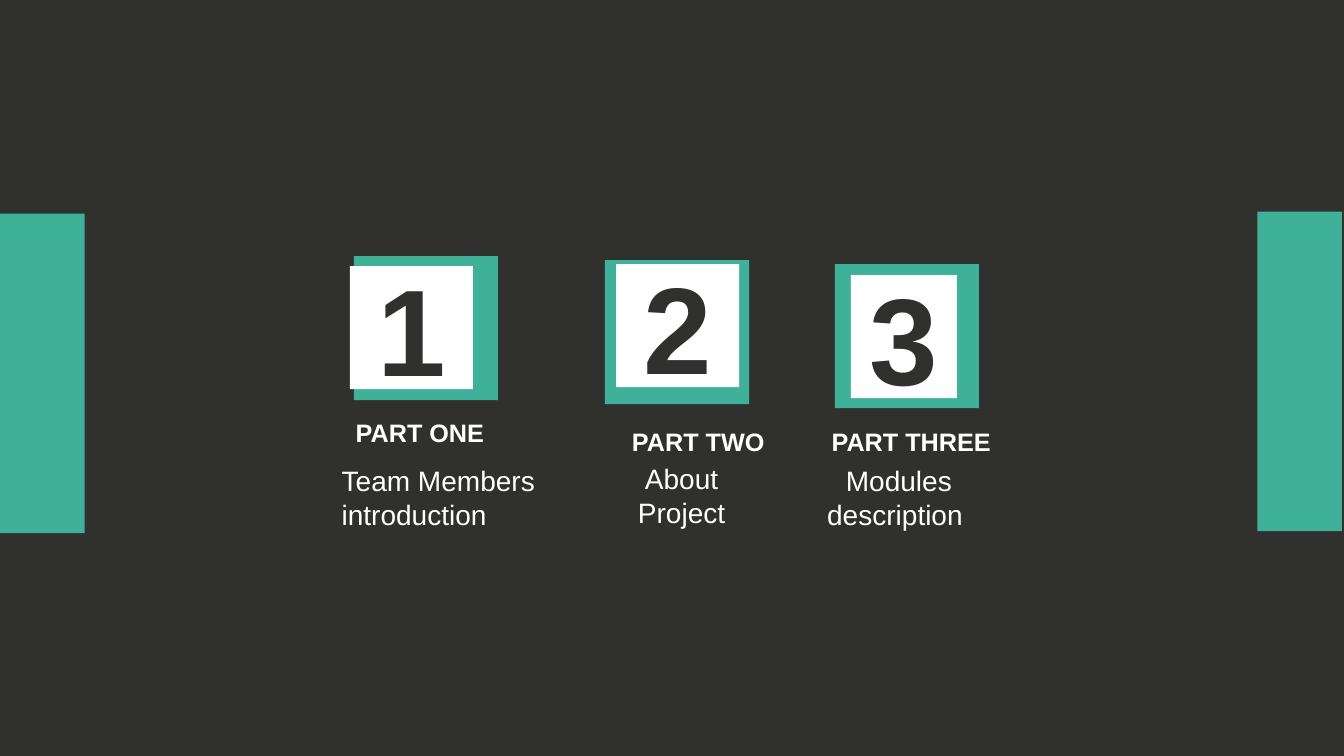
"""Build a dark agenda slide with three numbered parts between two side bars."""
from pptx import Presentation
from pptx.dml.color import RGBColor
from pptx.enum.shapes import MSO_SHAPE as Shape
from pptx.enum.text import MSO_ANCHOR as Anchor, MSO_AUTO_SIZE as AutoSize, PP_ALIGN as Align
from pptx.util import Inches, Pt

COLORS = {"dark": "30302F", "green": "3EB198", "white": "FFFFFF"}
BAR_WIDTH, BAR_HEIGHT = 0.84, 3.17
FRAME_SIZE = 1.43
CARD_HEIGHT = 1.22
LABEL_HEIGHT, CAPTION_HEIGHT = 0.4, 0.77


def add_block(box, color):
    block = slide.shapes.add_shape(Shape.RECTANGLE, *map(Inches, box))
    block.shadow.inherit = False
    block.fill.solid()
    block.fill.fore_color.rgb = RGBColor.from_string(COLORS[color])
    block.line.fill.background()
    return block


def write(shape, text, size, color, bold, frame_format, align):
    for name, value in frame_format.items():
        setattr(shape.text_frame, name, value)
    paragraph = shape.text_frame.paragraphs[0]
    paragraph.alignment = align
    run = paragraph.add_run()
    run.text = text
    for name, value in {"name": "Arial", "size": Pt(size), "bold": bold}.items():
        setattr(run.font, name, value)
    run.font.color.rgb = RGBColor.from_string(COLORS[color])


presentation = Presentation()
presentation.slide_width, presentation.slide_height = Inches(13.33), Inches(7.5)
slide = presentation.slides.add_slide(presentation.slide_layouts[6])
slide.background.fill.solid()
slide.background.fill.fore_color.rgb = RGBColor.from_string(COLORS["dark"])

for left, top in [(0, 2.12), (12.47, 2.1)]:
    add_block((left, top, BAR_WIDTH, BAR_HEIGHT), "green")

parts = [
    {"frame": (3.51, 2.54), "card": (3.47, 2.64, 1.22),
     "label": ("PART ONE", 3.43, 4.09, 1.49),
     "caption": ("Team Members introduction", 3.29, 4.55, 2.38, Align.LEFT)},
    {"frame": (6, 2.58), "card": (6.11, 2.62, 1.22),
     "label": ("PART TWO", 6.17, 4.18, 1.53),
     "caption": ("About Project", 5.97, 4.53, 1.58, Align.CENTER)},
    {"frame": (8.28, 2.62), "card": (8.44, 2.73, 1.05),
     "label": ("PART THREE", 8.15, 4.18, 1.8),
     "caption": ("Modules description ", 7.84, 4.55, 2.15, Align.CENTER)},
]

card_format = {"word_wrap": True, "vertical_anchor": Anchor.MIDDLE}
label_format = {"word_wrap": False, "auto_size": AutoSize.SHAPE_TO_FIT_TEXT}
caption_format = {"word_wrap": True, "auto_size": AutoSize.SHAPE_TO_FIT_TEXT}

for number, part in enumerate(parts, start=1):
    add_block((*part["frame"], FRAME_SIZE, FRAME_SIZE), "green")
    card = add_block((*part["card"], CARD_HEIGHT), "white")
    write(card, str(number), 88, "dark", True, card_format, Align.CENTER)

    text, *box = part["label"]
    label = slide.shapes.add_textbox(*map(Inches, (*box, LABEL_HEIGHT)))
    write(label, text, 18, "white", True, label_format, Align.LEFT)

    text, *box, align = part["caption"]
    caption = slide.shapes.add_textbox(*map(Inches, (*box, CAPTION_HEIGHT)))
    write(caption, text, 20, "white", False, caption_format, align)

presentation.save("out.pptx")
